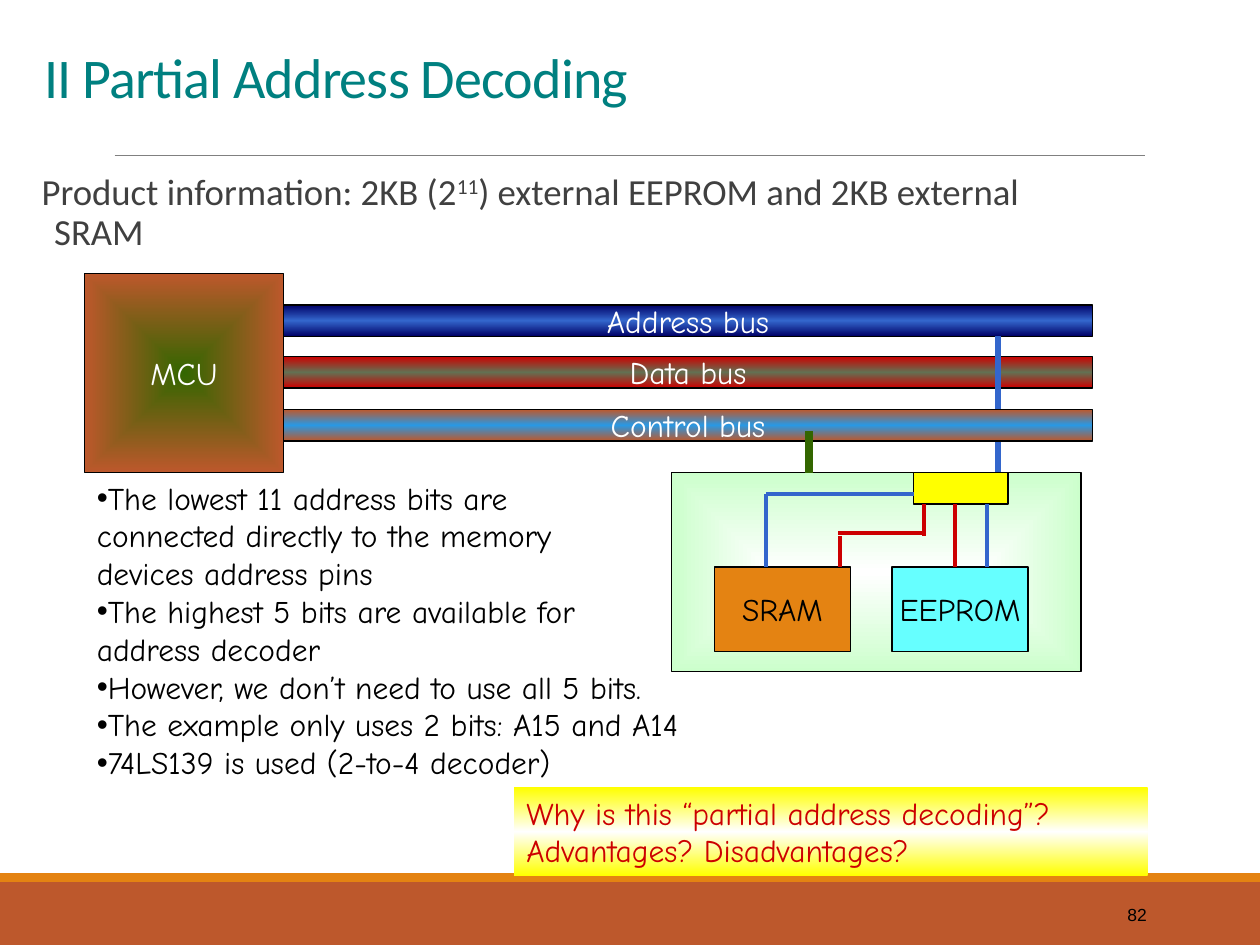
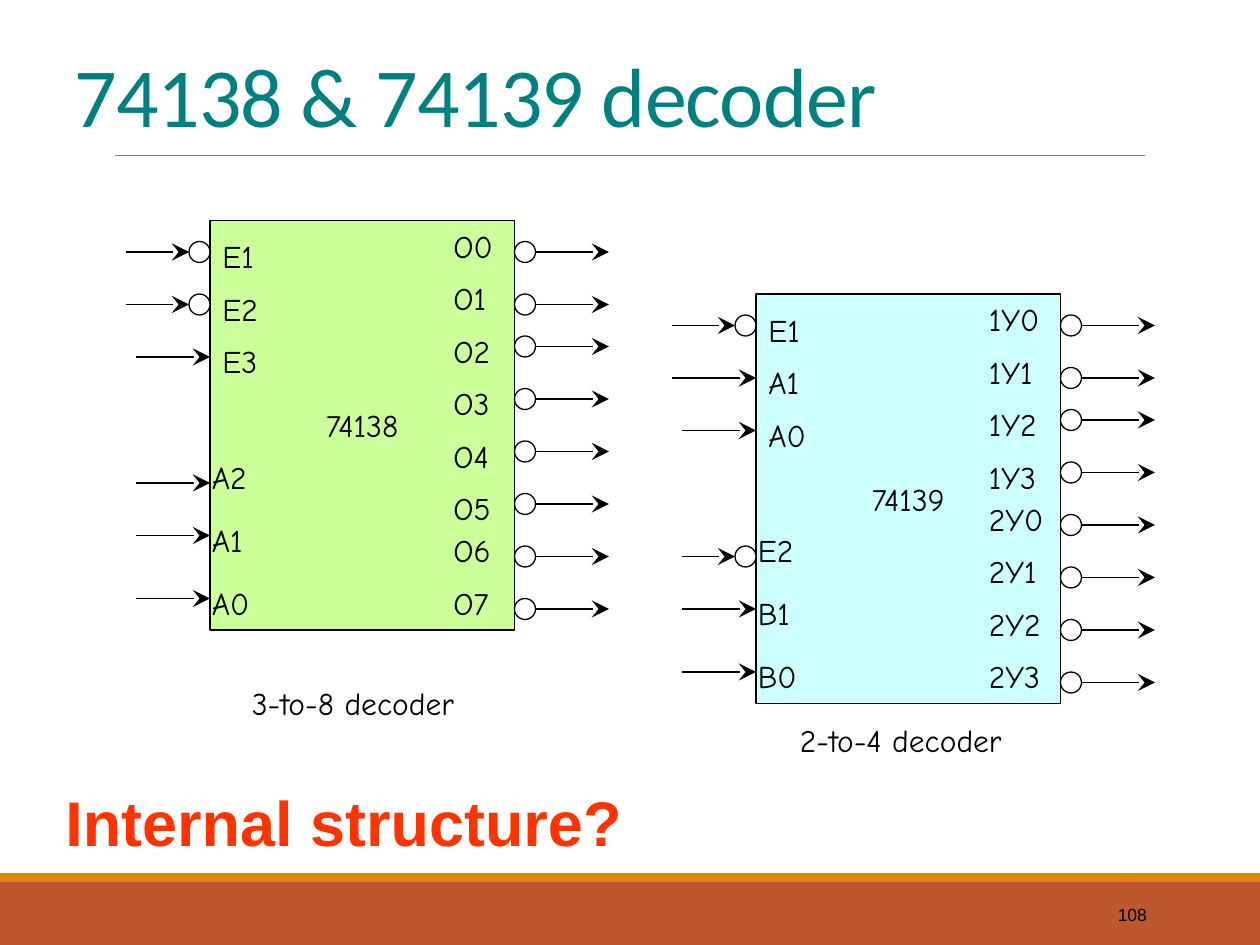
import pptx
import pptx.util
import pptx.oxml
import pptx.oxml.ns
import pptx.dml.color
import pptx.enum.shapes
import pptx.enum.text
from lxml import etree

Inches = pptx.util.Inches
Pt = pptx.util.Pt
RGB = pptx.dml.color.RGBColor.from_string
SHAPE = pptx.enum.shapes.MSO_SHAPE
ANCHOR = pptx.enum.text.MSO_ANCHOR
ALIGN = pptx.enum.text.PP_ALIGN
qn = pptx.oxml.ns.qn

C = {
    "black": "000000", "white": "FFFFFF", "rust": "BD582C", "orange": "E48312",
    "rule": "808080", "title": "008080", "body": "404040", "red": "CC0000",
    "blue": "3366CC", "navy": "000066", "olive": "637052", "sky": "2998E3",
    "green": "336600", "mint": "CCFFCC", "yellow": "FFFF00", "cyan": "66FFFF",
    "lime": "CCFF99", "ice": "CCFFFF", "question": "FF3300",
}
HAND = "Comic Neue"


def add_box(s, x, y, w, h, text="", fill=None, outline=True, geom=SHAPE.RECTANGLE, size=18,
            color="black", font=HAND, bold=False, align=ALIGN.CENTER, anchor=ANCHOR.MIDDLE):
    """Shape or, without a fill, a text box. A fill of several colours is a gradient:
    two run from the centre outwards, three from top to bottom."""
    box = [Inches(v) for v in (x, y, w, h)]
    if fill is None:
        sp = s.shapes.add_textbox(*box)
    else:
        sp = s.shapes.add_shape(geom, *box)
        sp.shadow.inherit = False
        if isinstance(fill, str):
            sp.fill.solid()
            sp.fill.fore_color.rgb = RGB(C[fill])
        else:
            sp.fill.gradient()
            grad = sp._element.spPr.find(qn("a:gradFill"))
            for child in list(grad):
                grad.remove(child)
            stops = etree.SubElement(grad, qn("a:gsLst"))
            for i, name in enumerate(fill):
                pos = str(100000 * i // (len(fill) - 1))
                gs = etree.SubElement(stops, qn("a:gs"), pos=pos)
                etree.SubElement(gs, qn("a:srgbClr"), val=C[name])
            if len(fill) == 2:
                centre = etree.SubElement(grad, qn("a:path"), {"path": "shape"})
                etree.SubElement(centre, qn("a:fillToRect"), l="50000", t="50000", r="50000", b="50000")
            else:
                etree.SubElement(grad, qn("a:lin"), ang="5400000", scaled="0")
        if outline:
            sp.line.color.rgb = RGB(C["black"])
            sp.line.width = Pt(0.75)
        else:
            sp.line.fill.background()
    if text:
        tf = sp.text_frame
        tf.text = text
        tf.word_wrap = align != ALIGN.CENTER
        tf.vertical_anchor = anchor
        for p in tf.paragraphs:
            p.alignment = align
            for r in p.runs:
                r.font.name, r.font.size, r.font.bold = font, Pt(size), bold
                r.font.color.rgb = RGB(C[color])
    return sp


def add_line(s, x1, y1, x2, y2, color="black", width=0.75, arrow=False):
    cn = s.shapes.add_connector(pptx.enum.shapes.MSO_CONNECTOR.STRAIGHT,
                                Inches(x1), Inches(y1), Inches(x2), Inches(y2))
    cn.line.color.rgb = RGB(C[color])
    cn.line.width = Pt(width)
    spPr = cn._element.spPr
    if arrow:
        etree.SubElement(spPr.find(qn("a:ln")), qn("a:tailEnd"), type="stealth", w="lg", len="lg")
    etree.SubElement(spPr, qn("a:effectLst"))


prs = pptx.Presentation()
prs.slide_width, prs.slide_height = Inches(10), Inches(7.5)

# Both slides: bands, rule, page number and title
pages = [
    (1, "II Partial Address Decoding", 32, (0.25, 0.25, 8.58, 0.67), "82"),
    (5, "74138 & 74139 decoder", 48, (0.49, 0.03, 7.75, 1.17), "108"),
]
for layout, title, size, place, number in pages:
    s = prs.slides.add_slide(prs.slide_layouts[layout])
    add_box(s, 0, 7, 10, 0.5, fill="rust", outline=False)
    add_box(s, 0, 6.93, 10, 0.07, fill="orange", outline=False)
    add_line(s, 0.91, 1.23, 9.09, 1.23, "rule", 0.5)
    add_box(s, 8.12, 7.06, 1.08, 0.4, number, size=10, font="Arial", align=ALIGN.RIGHT)

    sp = s.shapes.title
    sp.left, sp.top, sp.width, sp.height = [Inches(v) for v in place]
    tf = sp.text_frame
    tf.text = title
    tf.auto_size = pptx.enum.text.MSO_AUTO_SIZE.NONE
    tf.vertical_anchor = ANCHOR.BOTTOM
    p = tf.paragraphs[0]
    p.alignment = ALIGN.LEFT
    p.line_spacing = 0.85
    r = p.runs[0]
    r.font.name, r.font.size = "Calibri", Pt(size)
    r.font.color.rgb = RGB(C["title"])
    r._r.get_or_add_rPr().set("spc", "-50")

# Slide 1: product information
s = prs.slides[0]
sp = s.placeholders[1]
sp.left, sp.top, sp.width, sp.height = [Inches(v) for v in (0.33, 1.33, 8.42, 1.33)]
tf = sp.text_frame
tf.auto_size = pptx.enum.text.MSO_AUTO_SIZE.NONE
tf.margin_left = tf.margin_right = 0
p = tf.paragraphs[0]
pPr = p._p.get_or_add_pPr()
pPr.set("marL", str(Inches(0.1)))
pPr.set("indent", str(-Inches(0.1)))
etree.SubElement(pPr, qn("a:buNone"))
p.line_spacing, p.space_before, p.space_after = 0.9, Pt(0), Pt(2)
for text in ("Product information: 2KB (2", "11", ") external EEPROM and 2KB external SRAM"):
    r = p.add_run()
    r.text = text
    r.font.name, r.font.size = "Calibri", Pt(21)
    r.font.color.rgb = RGB(C["body"])
p.runs[1]._r.get_or_add_rPr().set("baseline", "30000")

# Memory board, processor and buses
bus_x, bus_w, bus_h = 2.25, 6.42, 0.25
add_box(s, 5.33, 3.75, 3.25, 1.58, fill=("white", "mint"))
add_box(s, 0.67, 2.17, 1.58, 1.58, "MCU", ("green", "rust"), color="white")
add_box(s, bus_x, 2.42, bus_w, bus_h, "Address bus", ("navy", "blue", "navy"), color="white")
add_box(s, bus_x, 2.83, bus_w, bus_h, "Data bus", ("red", "olive", "red"), color="white")
add_line(s, 7.92, 2.67, 7.92, 3.75, "blue", 3)
add_box(s, bus_x, 3.25, bus_w, bus_h, "Control bus", ("rust", "sky", "rust"), color="white")
add_line(s, 6.42, 3.42, 6.42, 3.75, "green", 4.5)

# Memories, decoder and its wires
add_box(s, 5.67, 4.5, 1.08, 0.67, "SRAM", "orange")
add_box(s, 7.08, 4.5, 1.08, 0.67, "EEPROM", "cyan")
add_box(s, 7.25, 3.75, 0.75, 0.25, fill="yellow")
wires = [
    (6.08, 3.92, 6.08, 4.5, "blue"), (7.25, 3.92, 6.08, 3.92, "blue"),
    (7.58, 4, 7.58, 4.5, "red"), (7.33, 4, 7.33, 4.25, "red"),
    (6.67, 4.25, 6.67, 4.5, "red"), (7.33, 4.23, 6.65, 4.23, "red"),
    (7.83, 4, 7.83, 4.5, "blue"),
]
for wire in wires:
    add_line(s, *wire, width=2.25)

# Notes on the address bits, and the question
notes = [
    "The lowest 11 address bits are\vconnected directly to the memory\vdevices address pins",
    "The highest 5 bits are available for\vaddress decoder",
    "However, we don’t need to use all 5 bits.",
    "The example only uses 2 bits: A15 and A14",
    "74LS139 is used (2-to-4 decoder)",
]
sp = add_box(s, 0.67, 3.75, 5.92, 2.5, "\n".join(notes), align=ALIGN.LEFT, anchor=ANCHOR.TOP)
for p in sp.text_frame.paragraphs:
    pPr = p._p.get_or_add_pPr()
    etree.SubElement(pPr, qn("a:buFont"), typeface="Arial")
    etree.SubElement(pPr, qn("a:buChar"), char="•")
add_box(s, 4.08, 6.25, 5.03, 0.7, "Why is this “partial address decoding”?\nAdvantages? Disadvantages?",
        ("yellow", "white", "yellow"), outline=False, color="red", align=ALIGN.LEFT, anchor=ANCHOR.TOP)

# Slide 2: two decoders on a grid of twelfths of an inch
s = prs.slides[1]
U = 1 / 12
CHIP_W, CHIP_H = 29, 39
# Each input: wire start, label offset, label top, pin height
inputs = [(-8, 0, 1, 3), (-8, 0, 6, 8), (-7, 0, 11, 13),
          (-7, -1, 22, 25), (-7, -1, 28, 30), (-7, -1, 34, 36)]
output_pins = [3, 8, 12, 17, 22, 27, 32, 37]
# Each chip: name, fill, left, top, inputs, inverted inputs, outputs, label left, label tops
chips = [
    ("74138", "lime", 20, 21, ["E1", "E2", "E3", "A2", "A1", "A0"], (0, 1),
     [f"O{i}" for i in range(8)], 22, [0, 5, 10, 15, 20, 25, 29, 34]),
    ("74139", "ice", 72, 28, ["E1", "A1", "A0", "E2", "B1", "B0"], (0, 3),
     [f"{i}Y{j}" for i in (1, 2) for j in range(4)], 21, [0, 5, 10, 15, 19, 24, 29, 34]),
]
for name, fill, left, top, in_names, inverted, out_names, out_x, out_tops in chips:
    add_box(s, left * U, top * U, CHIP_W * U, CHIP_H * U, name, fill)
    labels, bubbles, arrows = [], [], []
    for i, (start, dx, dy, pin) in enumerate(inputs):
        labels.append((in_names[i], dx, dy, 7))
        arrows.append((start, -2 if i in inverted else 0, pin))
        if i in inverted:
            bubbles.append((-2, pin - 1))
    for out_name, dy, pin in zip(out_names, out_tops, output_pins):
        labels.append((out_name, out_x, dy, CHIP_W - out_x))
        bubbles.append((CHIP_W, pin - 1))
        arrows.append((CHIP_W + 2, CHIP_W + 9, pin))
    for dx, dy in bubbles:
        add_box(s, (left + dx) * U, (top + dy) * U, 2 * U, 2 * U, fill="white", geom=SHAPE.OVAL)
    for text, dx, dy, w in labels:
        add_box(s, (left + dx) * U, (top + dy) * U, w * U, 0.4, text, align=ALIGN.LEFT, anchor=ANCHOR.TOP)
    for x1, x2, pin in arrows:
        y = (top + pin) * U
        add_line(s, (left + x1) * U, y, (left + x2) * U, y, arrow=True)

# Captions and closing question
for text, x, y in (("3-to-8 decoder", 1.9, 5.38), ("2-to-4 decoder", 6.25, 5.67)):
    add_box(s, x, y, 1.99, 0.4, text, align=ALIGN.LEFT, anchor=ANCHOR.TOP)
add_box(s, 0.42, 6.17, 5.08, 0.7, "Internal structure?", size=36, color="question", font="Arial",
        bold=True, align=ALIGN.LEFT, anchor=ANCHOR.BOTTOM)

prs.save("out.pptx")
